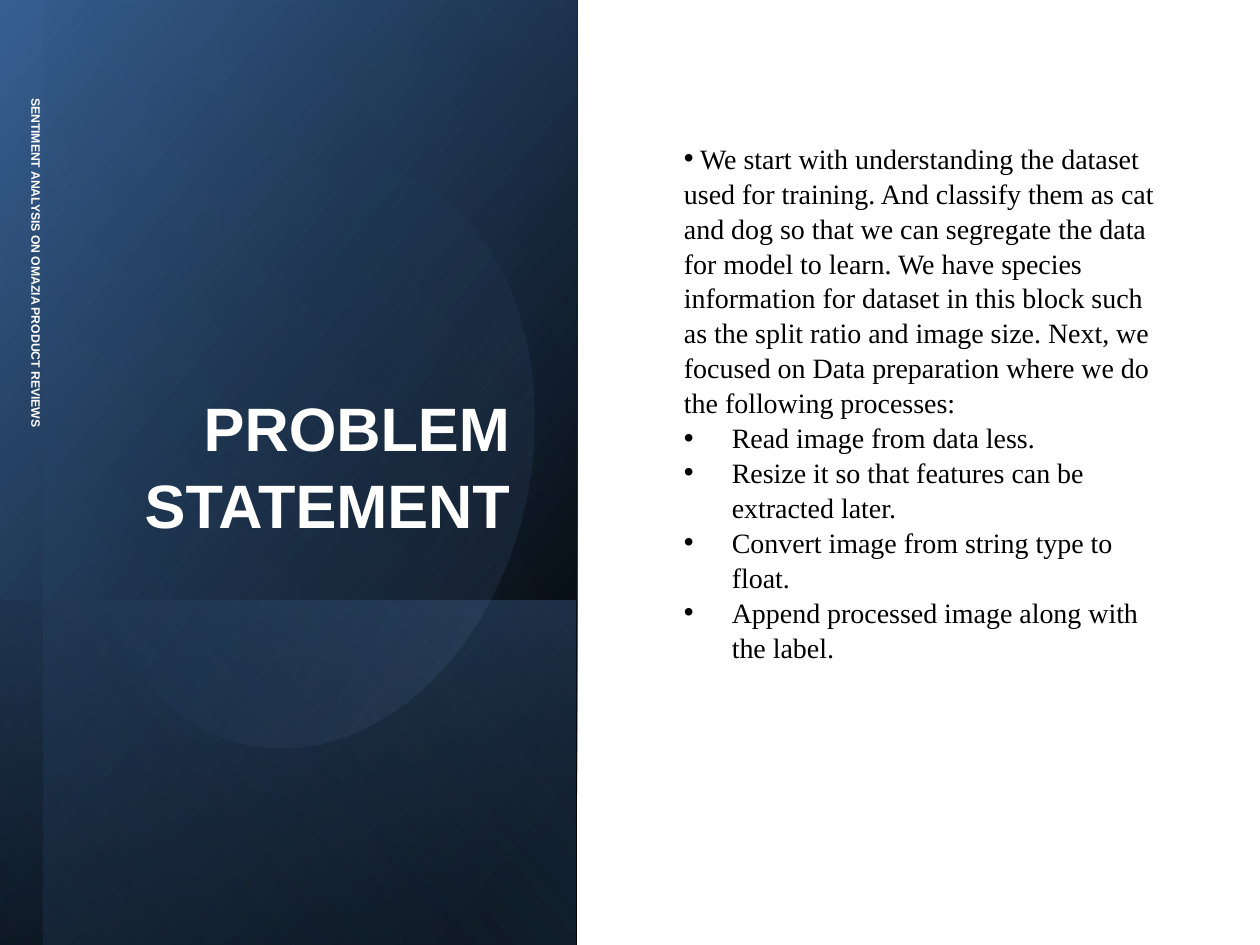
from lxml.etree import SubElement
from pptx import Presentation
from pptx.dml.color import RGBColor
from pptx.enum.shapes import MSO_SHAPE
from pptx.enum.text import MSO_ANCHOR, MSO_AUTO_SIZE, PP_ALIGN
from pptx.oxml.ns import qn
from pptx.util import Inches, Pt


def color(value):
    return RGBColor.from_string(value)


class SlideBuilder:
    heading_font = "Arial"
    body_font = "Times New Roman"
    light = "FFFFFF"
    dark = "000000"

    def __init__(self, deck):
        self.slide = deck.slides.add_slide(deck.slide_layouts[5])
        background = self.slide.background.fill
        background.solid()
        background.fore_color.rgb = color(self.light)

    def gradient_shape(self, kind, bounds, rotation, stops, angle, flip=False):
        shape = self.slide.shapes.add_shape(kind, *map(Inches, bounds))
        shape.rotation = rotation
        shape.shadow.inherit = False
        shape.line.fill.background()
        shape.fill.gradient()
        gradient = shape.element.spPr.find(qn("a:gradFill"))
        gradient.set("rotWithShape", "1")
        for child in list(gradient):
            gradient.remove(child)
        stop_list = SubElement(gradient, qn("a:gsLst"))
        for position, value, opacity in stops:
            stop = SubElement(stop_list, qn("a:gs"), pos=str(position * 1000))
            tint = SubElement(stop, qn("a:srgbClr"), val=value)
            if opacity < 100:
                SubElement(tint, qn("a:alpha"), val=str(opacity * 1000))
        SubElement(gradient, qn("a:lin"), ang=str(angle * 60000), scaled="0")
        if flip:
            shape.element.spPr.find(qn("a:xfrm")).set("flipH", "1")

    def panel(self, bounds, stops, angle):
        self.gradient_shape(MSO_SHAPE.RECTANGLE, bounds, 90, stops, angle, flip=True)

    def ellipse(self, bounds, rotation, stops, angle):
        self.gradient_shape(MSO_SHAPE.OVAL, bounds, rotation, stops, angle)

    def frame(self, box, anchor, bottom=0.05):
        frame = box.text_frame
        frame.word_wrap = True
        frame.auto_size = MSO_AUTO_SIZE.NONE
        frame.vertical_anchor = anchor
        frame.margin_bottom = Inches(bottom)
        return frame

    def add_span(self, para, text, font, size, value, bold=False):
        span = para.add_run()
        span.text = text
        span.font.name = font
        span.font.size = Pt(size)
        span.font.bold = bold
        span.font.color.rgb = color(value)

    def title(self, bounds, text):
        box = self.slide.shapes.title
        box.left, box.top, box.width, box.height = map(Inches, bounds)
        para = self.frame(box, MSO_ANCHOR.BOTTOM).paragraphs[0]
        para.alignment = PP_ALIGN.RIGHT
        para.line_spacing = 1.04
        self.add_span(para, text, self.heading_font, 35, self.light, True)

    def side_label(self, bounds, text):
        box = self.slide.shapes.add_textbox(*map(Inches, bounds))
        box.rotation = 90
        para = self.frame(box, MSO_ANCHOR.MIDDLE, bottom=0.23).paragraphs[0]
        para.line_spacing = 0.9
        self.add_span(para, text, self.heading_font, 7, self.light, True)

    def bullets(self, bounds, items):
        box = self.slide.shapes.add_textbox(*map(Inches, bounds))
        frame = self.frame(box, MSO_ANCHOR.MIDDLE, bottom=1.16)
        for index, (margin, text) in enumerate(items):
            para = frame.add_paragraph() if index else frame.paragraphs[0]
            para.line_spacing = 1.04
            properties = para._p.get_or_add_pPr()
            properties.set("marL", str(Inches(margin)))
            properties.set("indent", str(Inches(-0.38)))
            SubElement(properties, qn("a:buFont"), typeface="Arial")
            SubElement(properties, qn("a:buChar"), char="•")
            self.add_span(para, text, self.body_font, 16, self.dark)


def main():
    deck = Presentation()
    deck.slide_width, deck.slide_height = Inches(10), Inches(7.5)
    builder = SlideBuilder(deck)

    builder.panel((-1.46, 1.46, 7.5, 4.58), [(8, "000000", 100), (100, "376092", 100)], 50)
    builder.panel((0.91, 3.85, 2.74, 4.57), [(2, "4F81BD", 29), (100, "000000", 30)], 130)
    builder.panel((-1.29, 1.64, 7.5, 4.23), [(0, "000000", 0), (99, "4F81BD", 11)], 130)
    builder.ellipse((0.08, 1.82, 4.72, 3.54), 101.6, [(39, "4F81BD", 0), (100, "95B3D7", 15)], 290)

    title_element = builder.slide.shapes.title.element
    title_element.getparent().append(title_element)
    builder.title((0.68, 0.64, 3.47, 3.7), "PROBLEM STATEMENT")
    builder.side_label((-1.5, 2.17, 3.38, 0.4), "SENTIMENT ANALYSIS ON OMAZIA PRODUCT REVIEWS")

    introduction = (
        " We start with understanding the dataset used for training. "
        "And classify them as cat and dog so that we can segregate the data "
        "for model to learn. We have species information for dataset in this "
        "block such as the split ratio and image size. Next, we focused on "
        "Data preparation where we do the following processes:"
    )
    steps = [
        "Read image from data less.",
        "Resize it so that features can be extracted later.",
        "Convert image from string type to float.",
        "Append processed image along with the label.",
    ]
    builder.bullets((5.33, 0.71, 3.99, 6.07), [(0, introduction)] + [(0.38, step) for step in steps])
    deck.save("out.pptx")


if __name__ == "__main__":
    main()
